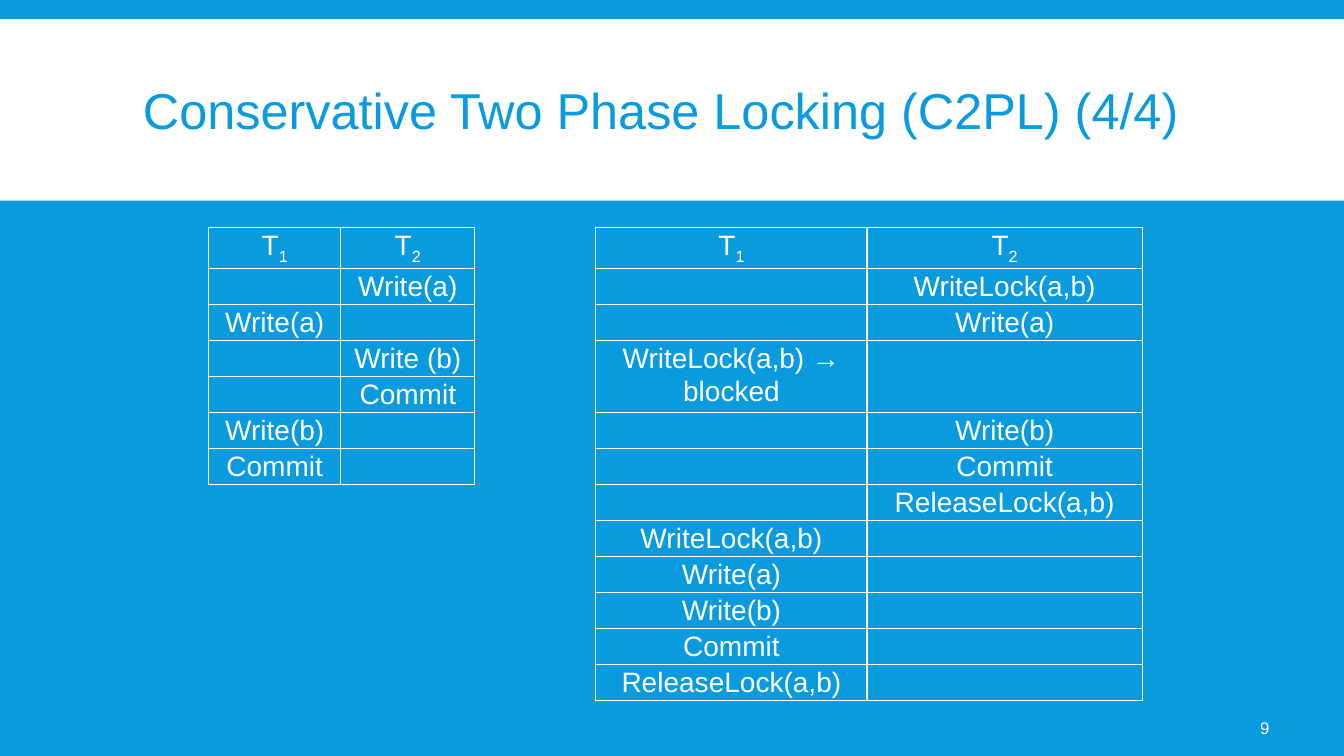
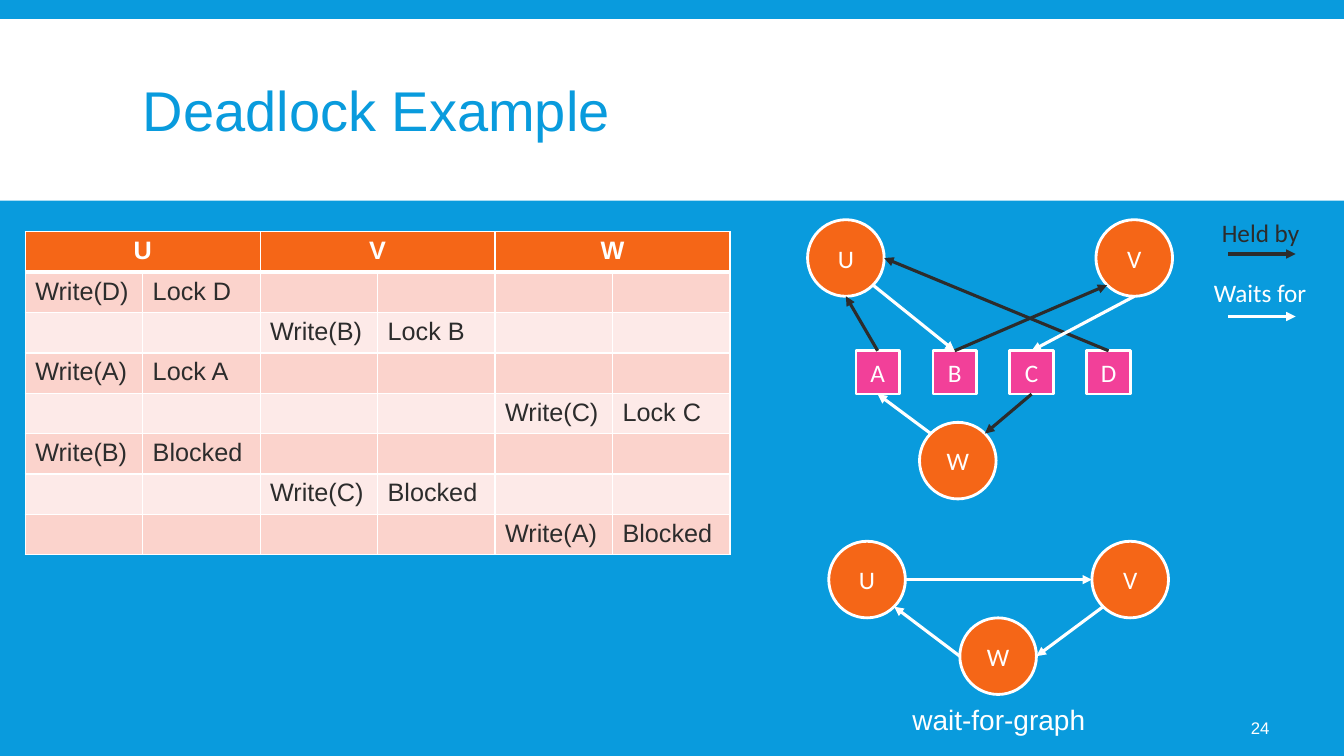
from math import sqrt

from lxml import etree
from pptx import Presentation
from pptx.dml.color import RGBColor
from pptx.enum.shapes import MSO_CONNECTOR, MSO_SHAPE
from pptx.enum.text import MSO_ANCHOR, PP_ALIGN
from pptx.oxml import parse_xml
from pptx.oxml.ns import nsdecls, qn
from pptx.util import Inches, Pt

WIDTH, HEIGHT = 13.33, 7.5
BLUE, WHITE, DARK = "099BDD", "FFFFFF", "2C2C2C"
ORANGE, PINK = "F56617", "F24099"
BANDS = "FBD3CC", "FDEAE8"
SANS, DIAGRAM = "Arial", "Calibri"

# Schedules: each step is (transaction column, operation)
SCHEDULE = [
    (1, "Write(a)"), (0, "Write(a)"), (1, "Write (b)"),
    (1, "Commit"), (0, "Write(b)"), (0, "Commit"),
]
LOCKED_SCHEDULE = [
    (1, "WriteLock(a,b)"), (1, "Write(a)"), (0, "WriteLock(a,b) → blocked"),
    (1, "Write(b)"), (1, "Commit"), (1, "ReleaseLock(a,b)"),
    (0, "WriteLock(a,b)"), (0, "Write(a)"), (0, "Write(b)"),
    (0, "Commit"), (0, "ReleaseLock(a,b)"),
]
DEADLOCK_STEPS = [
    ("U", "Write(D)", "Lock D"), ("V", "Write(B)", "Lock B"),
    ("U", "Write(A)", "Lock A"), ("W", "Write(C)", "Lock C"),
    ("U", "Write(B)", "Blocked"), ("V", "Write(C)", "Blocked"),
    ("W", "Write(A)", "Blocked"),
]

# Graphs: node positions (left, top), then edges (from, side, to, side, colour)
LOCK_SIZE, NODE_SIZE = 0.43, 0.76
LOCK_LEFT, LOCK_TOP, LOCK_STEP = 8.49, 3.48, 2.29 / 3
RESOURCE_NODES = {"U": (8.01, 2.18), "V": (10.87, 2.18), "W": (9.12, 4.19)}
RESOURCE_EDGES = [
    ("D", "top", "U", "right", DARK), ("B", "top", "V", "lower left", DARK),
    ("A", "top", "U", "bottom", DARK), ("C", "bottom", "W", "upper right", DARK),
    ("U", "lower right", "B", "top", WHITE), ("V", "bottom", "C", "top", WHITE),
    ("W", "upper left", "A", "bottom", WHITE),
]
WAIT_NODES = {"U": (8.22, 5.37), "V": (10.83, 5.37), "W": (9.52, 6.13)}
WAIT_EDGES = [
    ("U", "right", "V", "left", WHITE),
    ("V", "lower left", "W", "right", WHITE),
    ("W", "left", "U", "lower right", WHITE),
]
# Legend: label, label left, label top, arrow height, colour
LEGEND = [
    ("Held by", 12.02, 2.11, 2.52, DARK),
    ("Waits for", 11.94, 2.7, 3.14, WHITE),
]
LEGEND_ARROW = 12.18, 12.85

DIAGONAL = 1 / sqrt(2)
SIDES = {
    "top": (0, -1), "left": (-1, 0), "bottom": (0, 1), "right": (1, 0),
    "upper left": (-DIAGONAL, -DIAGONAL), "upper right": (DIAGONAL, -DIAGONAL),
    "lower left": (-DIAGONAL, DIAGONAL), "lower right": (DIAGONAL, DIAGONAL),
}
RECT_SITES = {"top": 0, "left": 1, "bottom": 2, "right": 3}


def rgb(color):
    return RGBColor.from_string(color)


def inches(*lengths):
    return [Inches(length) for length in lengths]


def style(paragraph, size, color, font=SANS, bold=False, align=None, spacing=None):
    paragraph.alignment = align
    paragraph.line_spacing = spacing
    for run in paragraph.runs:
        run.font.size, run.font.name, run.font.bold = Pt(size), font, bold
        run.font.color.rgb = rgb(color)


def add_label(slide, text, box, size, color, wrap=False, anchor=MSO_ANCHOR.TOP, **look):
    frame = slide.shapes.add_textbox(*inches(*box)).text_frame
    frame.text = text
    frame.word_wrap, frame.vertical_anchor = wrap, anchor
    style(frame.paragraphs[0], size, color, **look)
    return frame


def add_block(slide, kind, box, fill, line=None):
    block = slide.shapes.add_shape(kind, *inches(*box))
    block.shadow.inherit = False
    block.fill.solid()
    block.fill.fore_color.rgb = rgb(fill)
    if line:
        block.line.color.rgb = rgb(line)
        block.line.width = Pt(2)
    else:
        block.line.fill.background()
    return block


def add_titled_slide(prs, title, title_size, number):
    slide = prs.slides.add_slide(prs.slide_layouts[6])
    add_block(slide, MSO_SHAPE.RECTANGLE, (0, 0.19, WIDTH, 1.8), WHITE)
    add_label(slide, title, (1.32, 0.31, 10.7, 1.65), title_size, BLUE,
              wrap=True, anchor=MSO_ANCHOR.MIDDLE, spacing=0.85)
    footer = add_label(slide, str(number), (11.66, 7.02, 1.03, 0.4), 12, WHITE,
                       wrap=True, anchor=MSO_ANCHOR.MIDDLE, align=PP_ALIGN.RIGHT)
    footer.margin_left = Inches(0.05)
    return slide


def set_borders(cell, bottom=1):
    properties = cell._tc.get_or_add_tcPr()
    for edge, width in (("L", 1), ("R", 1), ("T", 1), ("B", bottom)):
        properties.append(parse_xml(
            f'<a:ln{edge} {nsdecls("a")} w="{Pt(width)}"><a:solidFill>'
            f'<a:srgbClr val="{WHITE}"/></a:solidFill></a:ln{edge}>'))


def add_grid(slide, left, top, columns, rows):
    table = slide.shapes.add_table(len(rows), len(columns), *inches(
        left, top, sum(columns), sum(rows))).table
    table.first_row = table.horz_banding = False
    for column, width in zip(table.columns, columns):
        column.width = Inches(width)
    for row, height in zip(table.rows, rows):
        row.height = Inches(height)
    return table


def add_schedule(slide, left, columns, steps, side_margin, heights):
    table = add_grid(slide, left, 2.26, columns, heights)
    for cell in table.iter_cells():
        cell.margin_left = cell.margin_right = Inches(side_margin)
        cell.margin_top = cell.margin_bottom = 0
        set_borders(cell)
        cell.fill.background()
    for column in range(2):
        heading = table.cell(0, column).text_frame.paragraphs[0]
        heading.add_run().text = "T"
        index = heading.add_run()
        index.text = str(column + 1)
        index._r.get_or_add_rPr().set("baseline", "-25000")
    for row, (column, operation) in enumerate(steps, 1):
        table.cell(row, column).text_frame.text = operation
    for cell in table.iter_cells():
        style(cell.text_frame.paragraphs[0], 20, WHITE,
              align=PP_ALIGN.CENTER, spacing=1.07)


def add_deadlock_table(slide):
    names = "UVW"
    heights = [0.37] + [0.4] * len(DEADLOCK_STEPS)
    table = add_grid(slide, 0.25, 2.3, [6.99 / 6] * 6, heights)
    for row in range(len(heights)):
        for column in range(6):
            cell = table.cell(row, column)
            set_borders(cell, bottom=1 if row else 3)
            cell.fill.solid()
            cell.fill.fore_color.rgb = rgb(BANDS[(row - 1) % 2] if row else ORANGE)
    for position, name in enumerate(names):
        heading, covered = (table.cell(0, 2 * position + i) for i in range(2))
        covered.margin_top = covered.margin_bottom = 0
        heading.merge(covered)
        heading.text_frame.text = name
        style(heading.text_frame.paragraphs[0], 18, WHITE,
              bold=True, align=PP_ALIGN.CENTER)
    for row, (name, *entries) in enumerate(DEADLOCK_STEPS, 1):
        for offset, entry in enumerate(entries):
            frame = table.cell(row, 2 * names.index(name) + offset).text_frame
            frame.text = entry
            style(frame.paragraphs[0], 18, DARK)


def add_node(slide, kind, name, position, size, fill):
    node = add_block(slide, kind, (*position, size, size), fill, WHITE)
    node.text_frame.text = name
    node.text_frame.vertical_anchor = MSO_ANCHOR.MIDDLE
    style(node.text_frame.paragraphs[0], 18, WHITE, font=DIAGRAM,
          align=PP_ALIGN.CENTER)
    return node


def add_circles(slide, positions):
    return {name: add_node(slide, MSO_SHAPE.OVAL, name, position, NODE_SIZE, ORANGE)
            for name, position in positions.items()}


def side_point(node, side):
    dx, dy = SIDES[side]
    return (int(node.left + node.width * (1 + dx) / 2),
            int(node.top + node.height * (1 + dy) / 2))


def add_arrow(slide, start, end, color):
    arrow = slide.shapes.add_connector(MSO_CONNECTOR.STRAIGHT, *start, *end)
    arrow.line.color.rgb = rgb(color)
    arrow.line.width = Pt(2.25)
    etree.SubElement(arrow.line._get_or_add_ln(), qn("a:tailEnd"), type="triangle")
    etree.SubElement(arrow._element.spPr, qn("a:effectLst"))
    return arrow


def add_edges(slide, nodes, edges):
    for source, source_side, target, target_side, color in edges:
        start, end = nodes[source], nodes[target]
        arrow = add_arrow(slide, side_point(start, source_side),
                          side_point(end, target_side), color)
        if start.auto_shape_type == MSO_SHAPE.RECTANGLE:
            arrow.begin_connect(start, RECT_SITES[source_side])
        if end.auto_shape_type == MSO_SHAPE.RECTANGLE:
            arrow.end_connect(end, RECT_SITES[target_side])


def build_locking_slide(prs):
    slide = add_titled_slide(
        prs, "Conservative Two Phase Locking (C2PL) (4/4)", 36, 9)
    add_schedule(slide, 2.07, (1.31, 1.33), SCHEDULE, 0.08,
                 [0.37] + [0.3] * len(SCHEDULE))
    add_schedule(slide, 5.91, (2.69, 2.73), LOCKED_SCHEDULE, 0.07,
                 [0.37] + [0.63 if "→" in operation else 0.31
                           for _, operation in LOCKED_SCHEDULE])


def build_deadlock_slide(prs):
    slide = add_titled_slide(prs, "Deadlock Example", 40, 24)
    add_deadlock_table(slide)
    resources = {
        name: add_node(slide, MSO_SHAPE.RECTANGLE, name,
                       (LOCK_LEFT + i * LOCK_STEP, LOCK_TOP), LOCK_SIZE, PINK)
        for i, name in enumerate("ABCD")}
    resources.update(add_circles(slide, RESOURCE_NODES))
    add_edges(slide, resources, RESOURCE_EDGES)
    for label, left, top, arrow_y, color in LEGEND:
        add_label(slide, label, (left, top, 1.3, 0.4), 18, color, font=DIAGRAM)
        start, end = (inches(x, arrow_y) for x in LEGEND_ARROW)
        add_arrow(slide, start, end, color)
    add_edges(slide, add_circles(slide, WAIT_NODES), WAIT_EDGES)
    add_label(slide, "wait-for-graph", (8.95, 6.92, 1.93, 0.44), 20, WHITE)


def main():
    prs = Presentation()
    prs.slide_width, prs.slide_height = inches(WIDTH, HEIGHT)
    backdrop = prs.slide_master.background.fill
    backdrop.solid()
    backdrop.fore_color.rgb = rgb(BLUE)
    build_locking_slide(prs)
    build_deadlock_slide(prs)
    prs.save("out.pptx")


if __name__ == "__main__":
    main()
